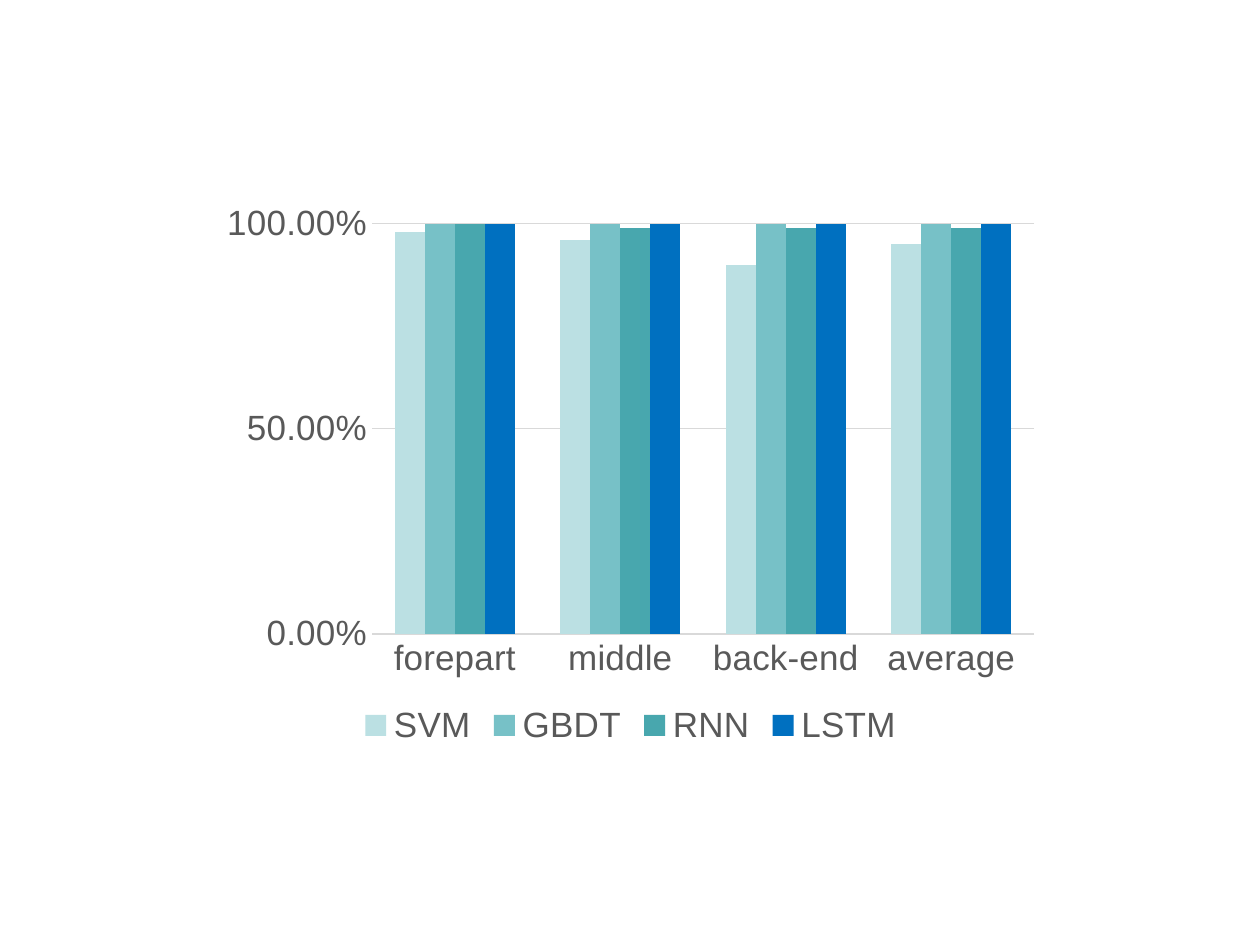
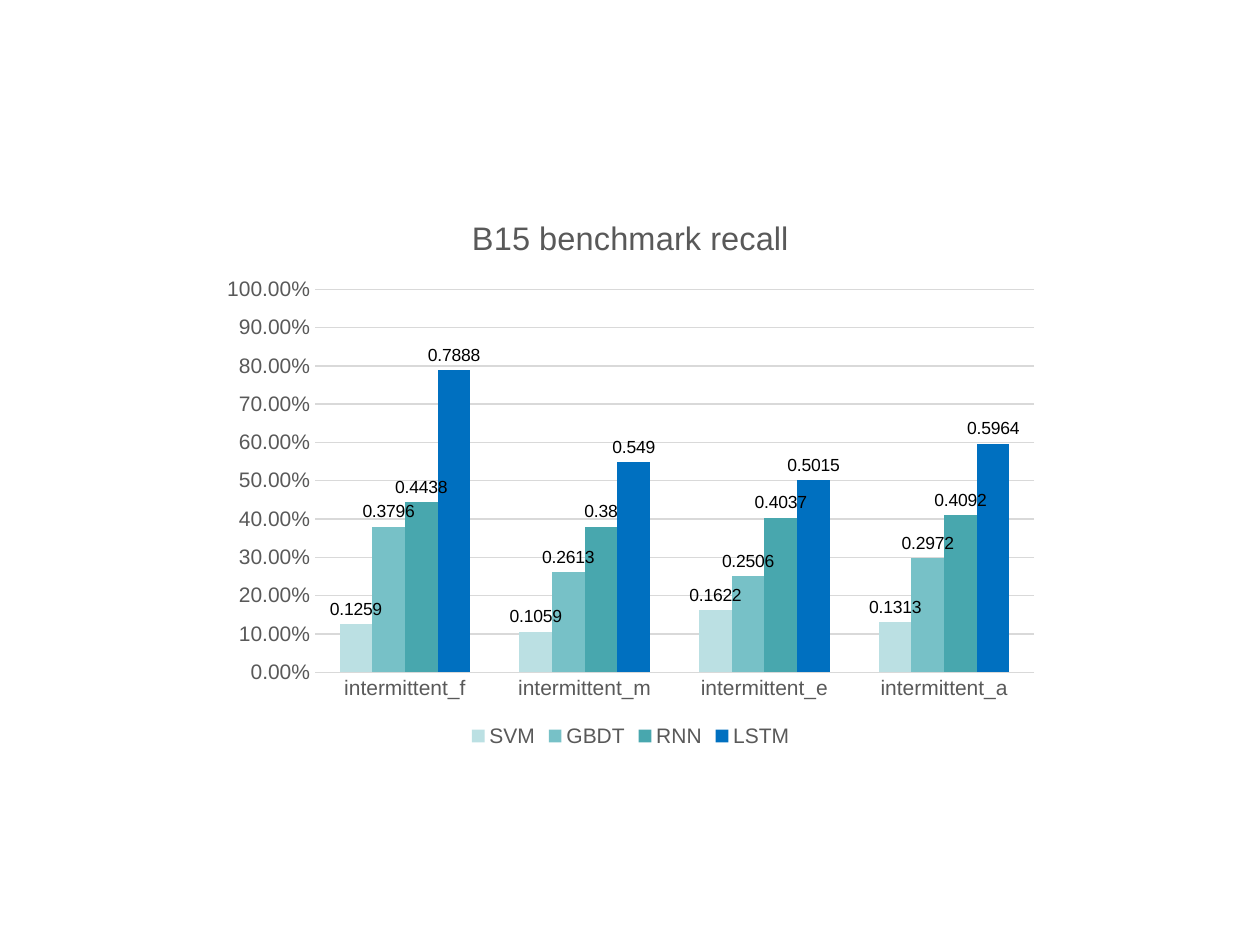
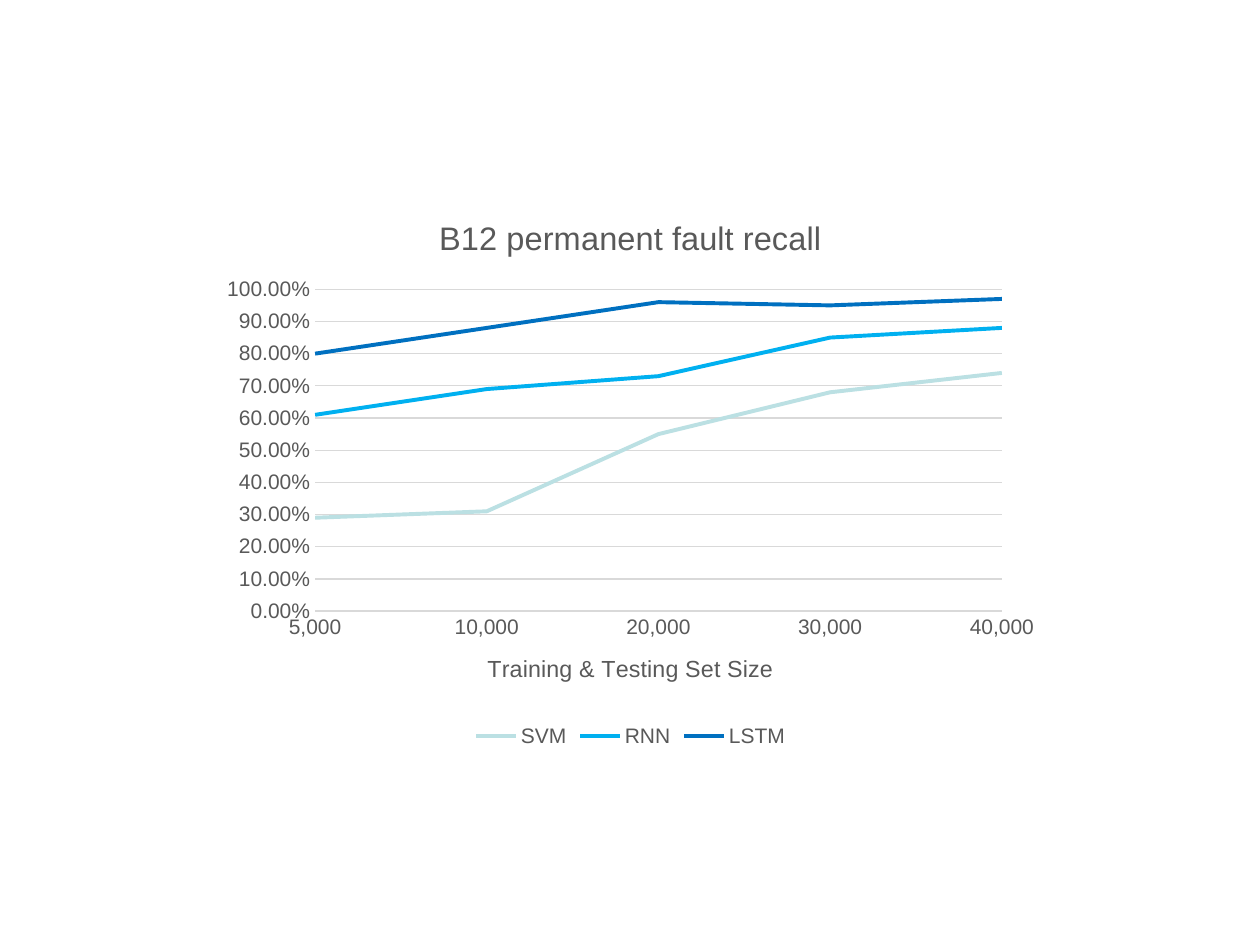
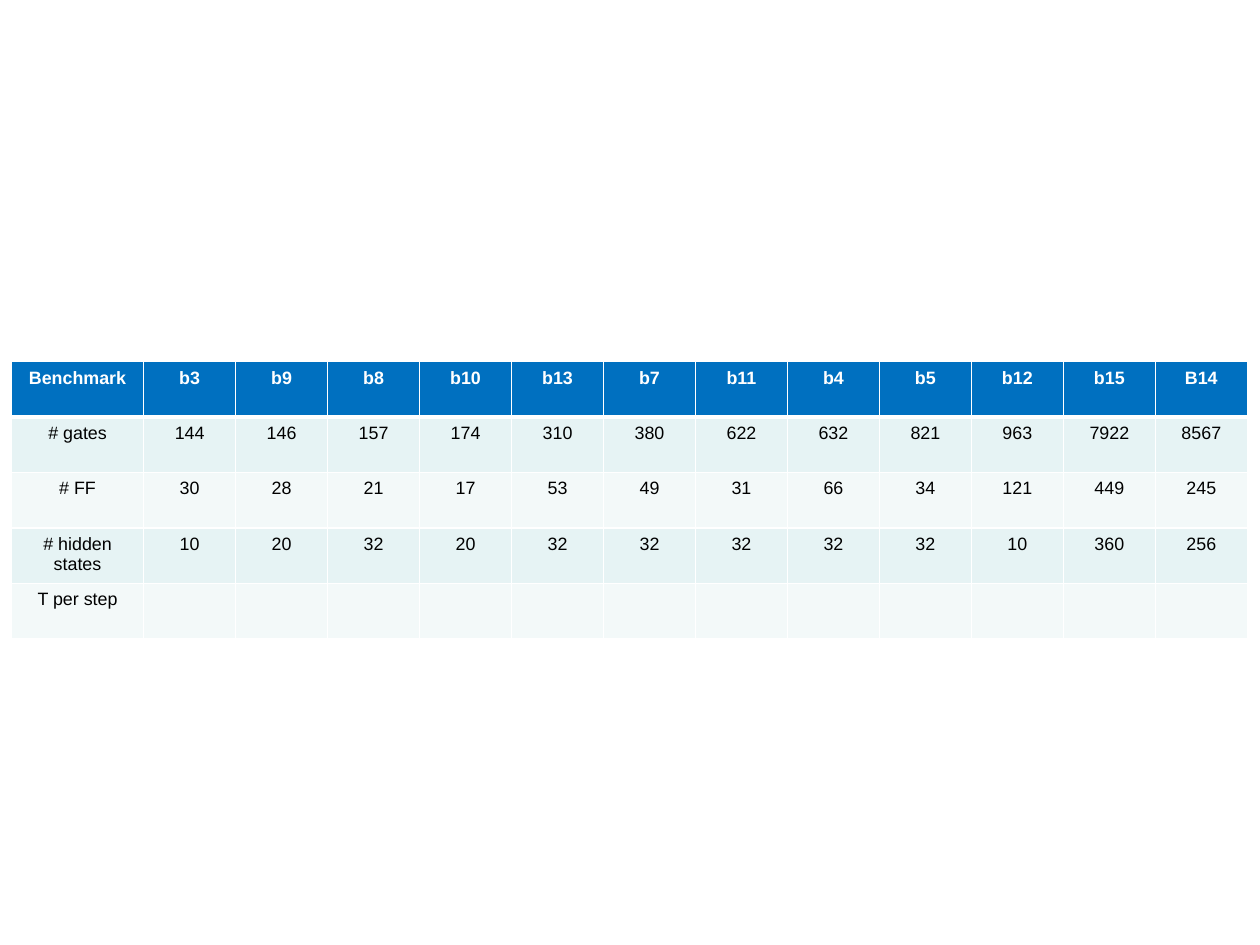
import lxml.etree
import pptx
import pptx.chart.data
import pptx.dml.color
import pptx.enum.chart
import pptx.enum.text
import pptx.oxml.ns
import pptx.util

Inches = pptx.util.Inches
Pt = pptx.util.Pt
ChartType = pptx.enum.chart.XL_CHART_TYPE

FONT = "Arial"
COLORS = {
    "text": "000000",
    "chart text": "595959",
    "grid": "D9D9D9",
    "white": "FFFFFF",
    "header": "0070C0",
    "odd row": "E6F3F4",
    "even row": "F3F9F9",
    "pale teal": "BBE0E3",
    "teal": "77C1C7",
    "deep teal": "48A7AE",
    "sky": "00B0F0",
    "blue": "0070C0",
}
COLUMN_COLORS = ["pale teal", "teal", "deep teal", "blue"]
LINE_COLORS = ["pale teal", "sky", "blue"]

ACCURACY = {
    "SVM": [0.98, 0.96, 0.9, 0.95],
    "GBDT": [1, 1, 1, 1],
    "RNN": [1, 0.99, 0.99, 0.99],
    "LSTM": [1, 1, 1, 1],
}
INTERMITTENT_RECALL = {
    "SVM": [0.1259, 0.1059, 0.1622, 0.1313],
    "GBDT": [0.3796, 0.2613, 0.2506, 0.2972],
    "RNN": [0.4438, 0.38, 0.4037, 0.4092],
    "LSTM": [0.7888, 0.549, 0.5015, 0.5964],
}
PERMANENT_RECALL = {
    "SVM": [0.29, 0.31, 0.55, 0.68, 0.74],
    "RNN": [0.61, 0.69, 0.73, 0.85, 0.88],
    "LSTM": [0.8, 0.88, 0.96, 0.95, 0.97],
}
BENCHMARKS = [
    ["Benchmark", "b3", "b9", "b8", "b10", "b13", "b7", "b11", "b4", "b5", "b12", "b15", "B14"],
    ["# gates", 144, 146, 157, 174, 310, 380, 622, 632, 821, 963, 7922, 8567],
    ["# FF", 30, 28, 21, 17, 53, 49, 31, 66, 34, 121, 449, 245],
    ["# hidden states", 10, 20, 32, 20, 32, 32, 32, 32, 32, 10, 360, 256],
    ["T per step"] + [""] * 12,
]


def color(name):
    return pptx.dml.color.RGBColor.from_string(COLORS[name])


def style_font(font, size, color_name, bold=False):
    font.name = FONT
    font.size = Pt(size)
    font.bold = bold
    font.color.rgb = color(color_name)


def style_line(line, color_name, width):
    line.color.rgb = color(color_name)
    line.width = Pt(width)


def add_blank_page(deck):
    return deck.slides.add_slide(deck.slide_layouts[6])


def set_title(title, text, size):
    """Write a chart title or an axis title."""
    title.text_frame.text = text
    style_font(title.text_frame.paragraphs[0].runs[0].font, size, "chart text")


def style_axes(chart, size):
    for axis in (chart.category_axis, chart.value_axis):
        axis.major_tick_mark = pptx.enum.chart.XL_TICK_MARK.NONE
        axis.minor_tick_mark = pptx.enum.chart.XL_TICK_MARK.NONE
        style_font(axis.tick_labels.font, size, "chart text")
    style_line(chart.category_axis.format.line, "grid", 0.75)
    values = chart.value_axis
    values.minimum_scale, values.maximum_scale = 0, 1
    values.format.line.fill.background()
    values.has_major_gridlines = True
    style_line(values.major_gridlines.format.line, "grid", 0.75)
    values.tick_labels.number_format = "0.00%"
    values.tick_labels.number_format_is_linked = False


def add_percent_chart(page, kind, categories, series, size=12, title=None):
    data = pptx.chart.data.CategoryChartData()
    data.categories = categories
    for name, values in series.items():
        data.add_series(name, values)
    chart = page.shapes.add_chart(
        kind, Inches(1.67), Inches(1.53), Inches(6.67), Inches(4.44), data
    ).chart
    style_font(chart.font, 10, "text")
    chart.has_title = title is not None
    if title:
        set_title(chart.chart_title, title, 18.6)
    chart.has_legend = True
    chart.legend.position = pptx.enum.chart.XL_LEGEND_POSITION.BOTTOM
    chart.legend.include_in_layout = False
    style_font(chart.legend.font, size, "chart text")
    style_axes(chart, size)
    chart.plots[0].vary_by_categories = False
    return chart


def add_column_chart(page, categories, series, **options):
    chart = add_percent_chart(page, ChartType.COLUMN_CLUSTERED, categories, series, **options)
    plot = chart.plots[0]
    plot.gap_width = 150
    plot.overlap = 0
    for column, name in zip(plot.series, COLUMN_COLORS):
        column.format.fill.solid()
        column.format.fill.fore_color.rgb = color(name)
    return chart


def show_values(chart):
    for series in chart.plots[0].series:
        labels = series.data_labels
        labels.show_value = True
        labels.position = pptx.enum.chart.XL_LABEL_POSITION.OUTSIDE_END
        style_font(labels.font, 10, "text")


def start_lines_on_axis(chart):
    qn = pptx.oxml.ns.qn
    axis = chart.value_axis._element
    for old in axis.findall(qn("c:crossBetween")):
        axis.remove(old)
    crossing = lxml.etree.Element(qn("c:crossBetween"), val="midCat")
    axis.find(qn("c:crosses")).addnext(crossing)


def add_line_chart(page, categories, series, axis_title, **options):
    chart = add_percent_chart(page, ChartType.LINE, categories, series, **options)
    set_title(chart.category_axis.axis_title, axis_title, 13.3)
    for line, name in zip(chart.plots[0].series, LINE_COLORS):
        line.smooth = False
        line.marker.style = pptx.enum.chart.XL_MARKER_STYLE.NONE
        style_line(line.format.line, name, 2.25)
    start_lines_on_axis(chart)


def add_border(cell, side, width):
    qn = pptx.oxml.ns.qn
    properties = cell._tc.get_or_add_tcPr()
    line = lxml.etree.SubElement(properties, qn(f"a:ln{side}"), w=str(Pt(width)))
    fill = lxml.etree.SubElement(line, qn("a:solidFill"))
    lxml.etree.SubElement(fill, qn("a:srgbClr"), val=COLORS["white"])


def fill_cell(cell, value, row):
    is_header = row == 0
    thick_side = {0: "B", 1: "T"}.get(row)
    for side in "LRTB":
        add_border(cell, side, 3 if side == thick_side else 0.96)
    cell.fill.solid()
    fill_name = "header" if is_header else "odd row" if row % 2 else "even row"
    cell.fill.fore_color.rgb = color(fill_name)
    cell.text_frame.text = str(value)
    para = cell.text_frame.paragraphs[0]
    para.alignment = pptx.enum.text.PP_ALIGN.CENTER
    for span in para.runs:
        style_font(span.font, 10.2, "white" if is_header else "text", is_header)


def add_benchmark_table(page, rows):
    table = page.shapes.add_table(
        len(rows), len(rows[0]), Inches(0.09), Inches(2.87), Inches(9.82), Inches(2.19)
    ).table
    for index, column in enumerate(table.columns):
        column.width = Inches(0.73 if index else 1.05)
    for row, values in enumerate(rows):
        table.rows[row].height = Inches(0.44)
        for column, value in enumerate(values):
            fill_cell(table.cell(row, column), value, row)


def main():
    deck = pptx.Presentation()
    deck.slide_width, deck.slide_height = Inches(10), Inches(7.5)

    accuracy = add_column_chart(
        add_blank_page(deck), ["forepart", "middle", "back-end", "average"], ACCURACY, size=20
    )
    accuracy.value_axis.major_unit = 0.5

    recall = add_column_chart(
        add_blank_page(deck),
        [f"intermittent_{part}" for part in "fmea"],
        INTERMITTENT_RECALL,
        title="B15 benchmark recall",
    )
    show_values(recall)

    add_line_chart(
        add_blank_page(deck),
        ["5,000", "10,000", "20,000", "30,000", "40,000"],
        PERMANENT_RECALL,
        "Training & Testing Set Size",
        title="B12 permanent fault recall",
    )

    add_benchmark_table(add_blank_page(deck), BENCHMARKS)
    deck.save("out.pptx")


if __name__ == "__main__":
    main()
